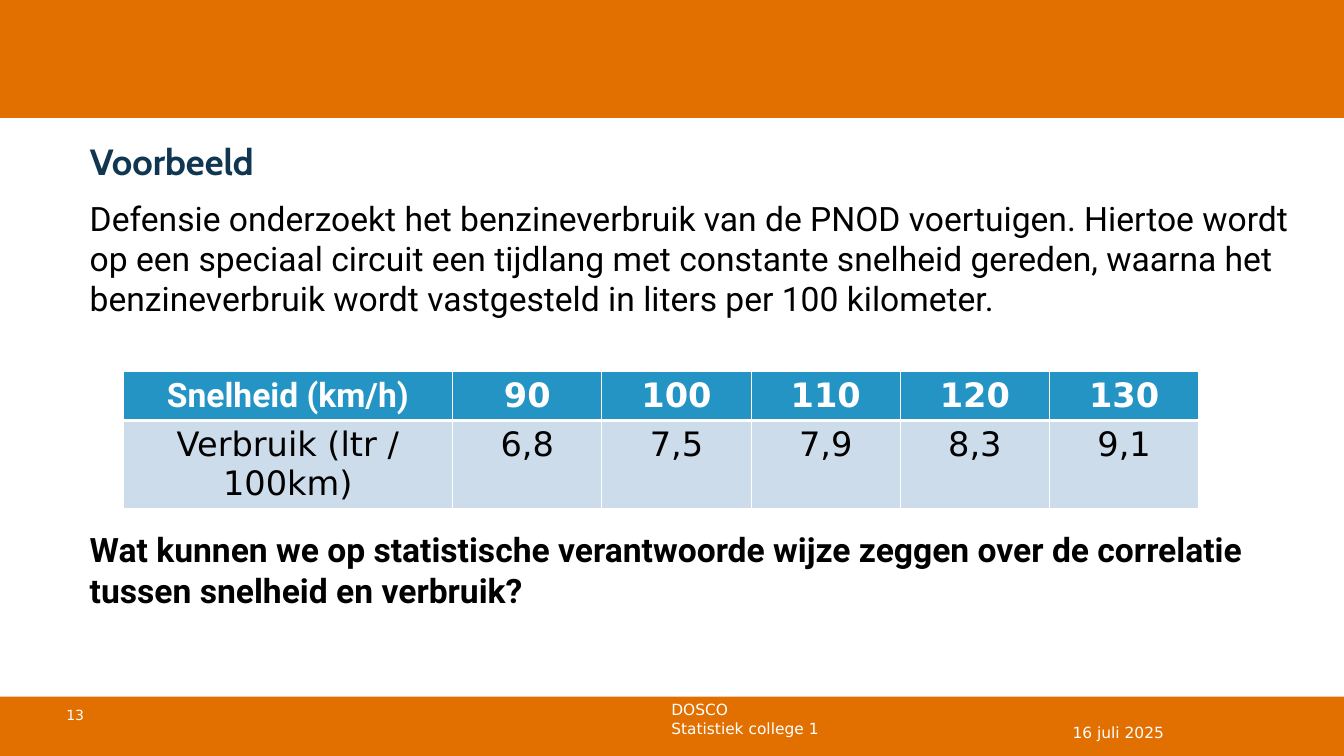
from lxml.etree import SubElement
from pptx import Presentation
from pptx.dml.color import RGBColor
from pptx.enum.shapes import MSO_SHAPE
from pptx.enum.text import MSO_ANCHOR, MSO_AUTO_SIZE, PP_ALIGN
from pptx.oxml.ns import qn
from pptx.util import Inches, Pt

ORANGE, BLUE, PALE = "E17000", "2494C5", "CDDCEA"
NAVY, WHITE, BLACK = "113652", "FFFFFF", "000000"
LEFT = 0.89


def color(value):
    return RGBColor.from_string(value)


def write(frame, text, size=24, face="Roboto", ink=BLACK, bold=False,
          align=PP_ALIGN.LEFT, anchor=MSO_ANCHOR.TOP, inset=None):
    frame.word_wrap = True
    frame.auto_size = MSO_AUTO_SIZE.NONE
    frame.vertical_anchor = anchor
    if inset is not None:
        frame.margin_left = frame.margin_right = Inches(inset)
        frame.margin_top = frame.margin_bottom = Inches(inset)
    frame.text = text
    for para in frame.paragraphs:
        para.alignment = align
        para.font.size = Pt(size)
        para.font.name = face
        para.font.bold = bold
        para.font.color.rgb = color(ink)


deck = Presentation()
deck.slide_width, deck.slide_height = Inches(13.33), Inches(7.5)
page = deck.slides.add_slide(deck.slide_layouts[5])

# Orange bands at the top and bottom
for top, height in ((0, 1.17), (6.91, 0.59)):
    band = page.shapes.add_shape(MSO_SHAPE.RECTANGLE, 0, Inches(top),
                                 deck.slide_width, Inches(height))
    band.shadow.inherit = False
    band.fill.solid()
    band.fill.fore_color.rgb = color(ORANGE)
    band.line.fill.background()

# Title
title = page.shapes.title
title.left, title.top = Inches(LEFT), Inches(1.38)
title.width, title.height = Inches(11.33), Inches(0.43)
write(title.text_frame, "Voorbeeld", size=26, face="Cabin", ink=NAVY,
      bold=True, inset=0)

# Introduction, question and footer texts
footer = dict(face="DejaVu Sans", ink=WHITE)
texts = [
    (LEFT, 1.96, 12, 1.3,
     "Defensie onderzoekt het benzineverbruik van de PNOD voertuigen. "
     "Hiertoe wordt op een speciaal circuit een tijdlang met constante "
     "snelheid gereden, waarna het benzineverbruik wordt vastgesteld in "
     "liters per 100 kilometer.", dict(inset=0)),
    (LEFT, 5.25, 12, 1.3,
     "Wat kunnen we op statistische verantwoorde wijze zeggen over de "
     "correlatie tussen snelheid en verbruik?", dict(bold=True, inset=0)),
    (6.56, 6.9, 6.07, 0.31, "DOSCO\nStatistiek college 1",
     dict(size=11, **footer)),
    (0.56, 6.96, 1.04, 0.4, "13", dict(size=10, **footer)),
    (10.54, 7.07, 2.43, 0.4, "16 juli 2025",
     dict(size=11, anchor=MSO_ANCHOR.MIDDLE, **footer)),
]
for left, top, width, height, text, style in texts:
    box = page.shapes.add_textbox(Inches(left), Inches(top),
                                  Inches(width), Inches(height))
    write(box.text_frame, text, **style)

# Table of speed and fuel use
rows = [
    ["Snelheid (km/h)", "90", "100", "110", "120", "130"],
    ["Verbruik (ltr / 100km)", "6,8", "7,5", "7,9", "8,3", "9,1"],
]
table = page.shapes.add_table(len(rows), len(rows[0]), Inches(1.22), Inches(3.68),
                              Inches(10.67), Inches(1.35)).table
for index, column in enumerate(table.columns):
    column.width = Inches(1.48 if index else 3.27)
for row, height in zip(table.rows, (0.49, 0.86)):
    row.height = Inches(height)

for r, row in enumerate(rows):
    for c, text in enumerate(row):
        cell = table.cell(r, c)
        header = r == 0
        write(cell.text_frame, text, bold=header, align=PP_ALIGN.CENTER,
              ink=WHITE if header else BLACK,
              face="Roboto" if header and c == 0 else "DejaVu Sans")
        # White rules, heavier between the two rows
        properties = cell._tc.get_or_add_tcPr()
        for side in "LRTB":
            heavy = (r, side) in ((0, "B"), (1, "T"))
            rule = SubElement(properties, qn(f"a:ln{side}"),
                              w=str(Pt(3 if heavy else 1)))
            SubElement(SubElement(rule, qn("a:solidFill")),
                       qn("a:srgbClr"), val=WHITE)
        cell.fill.solid()
        cell.fill.fore_color.rgb = color(BLUE if header else PALE)

deck.save("out.pptx")
